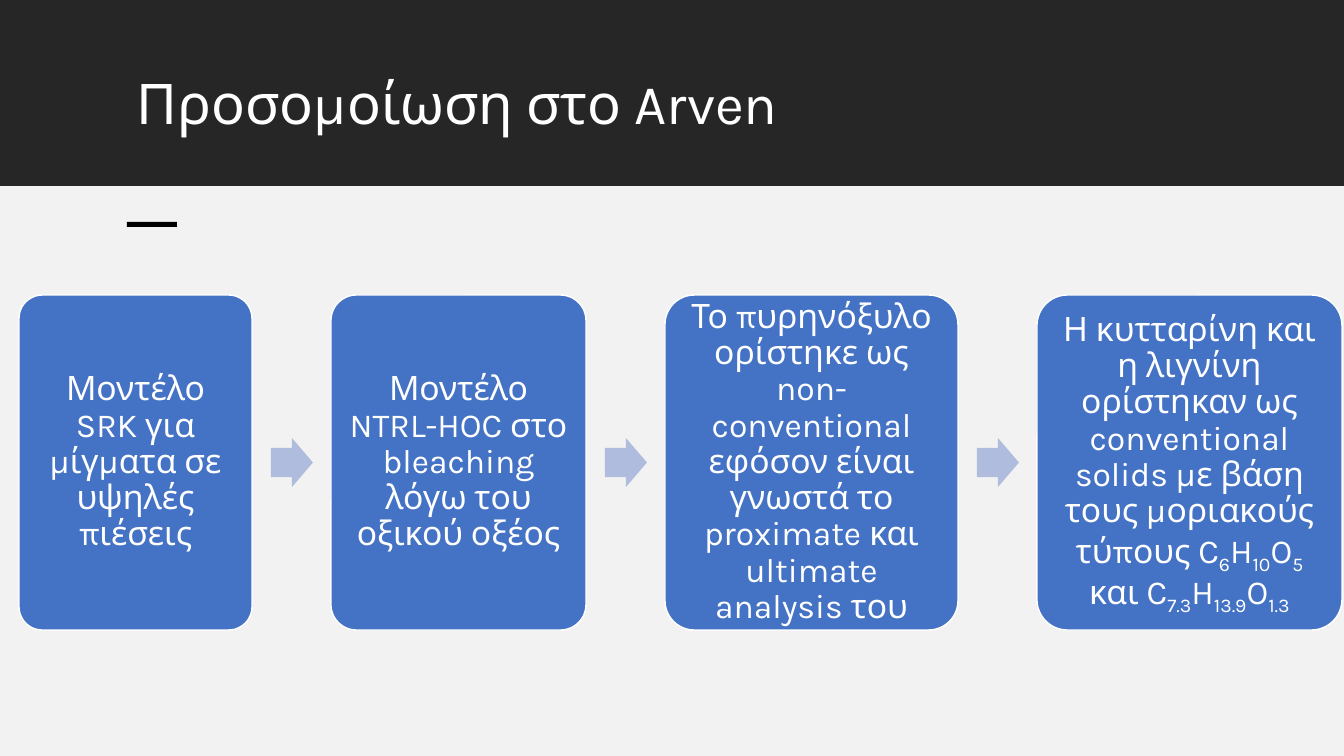
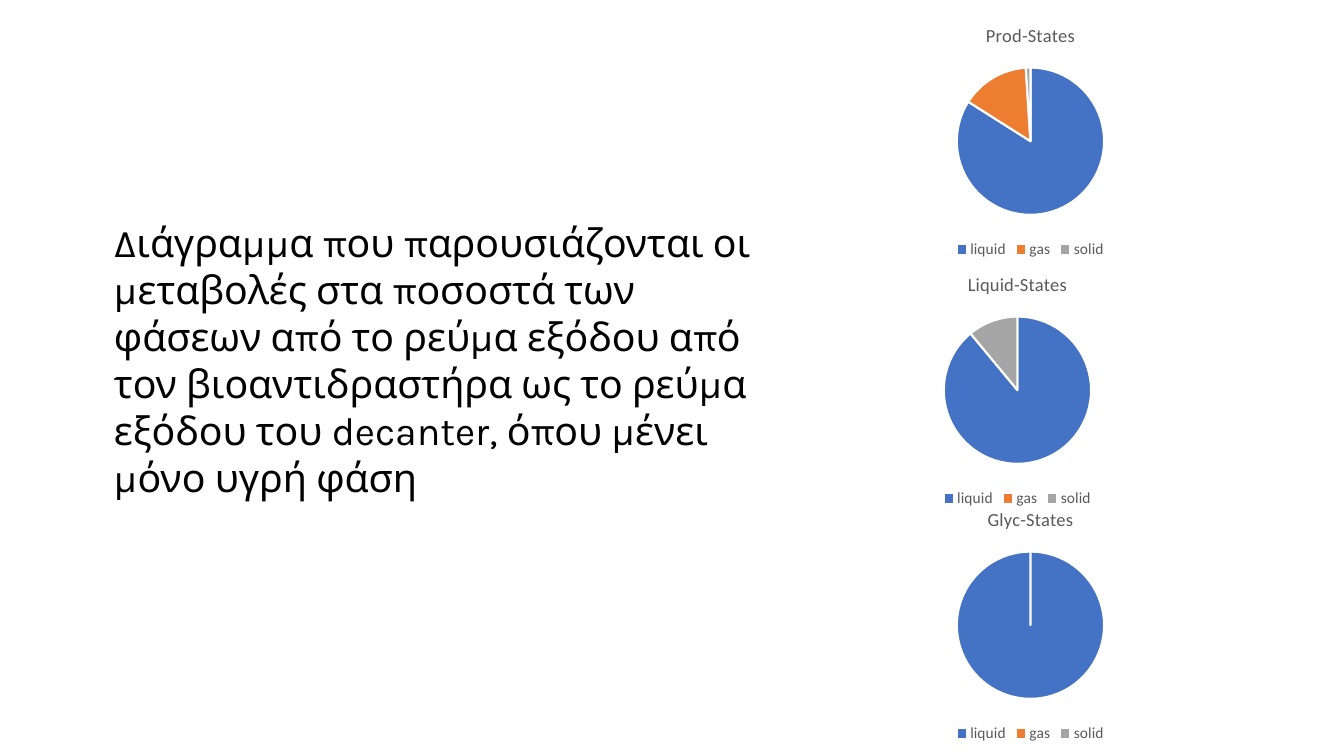
"""Build two slides on process simulation and the phase shares of its streams."""
from dataclasses import dataclass

from pptx import Presentation
from pptx.chart.data import CategoryChartData
from pptx.dml.color import RGBColor
from pptx.enum.chart import XL_CHART_TYPE as ChartType, XL_LEGEND_POSITION as LegendPos
from pptx.enum.shapes import MSO_SHAPE as Shape
from pptx.enum.text import MSO_ANCHOR as Anchor, PP_ALIGN as Align
from pptx.util import Emu, Pt

PX = 914400 / 100.8
WIDTH, HEIGHT = 1344, 756


@dataclass(frozen=True)
class Theme:
    font: str = "Karla"
    chart_font: str = "Calibri"
    white: str = "FFFFFF"
    black: str = "000000"
    band: str = "262626"
    ground: str = "F2F2F2"
    box: str = "4472C4"
    arrow: str = "B0BCDE"
    chart_text: str = "595959"
    slices: tuple[str, ...] = ("4472C4", "ED7D31", "A5A5A5")
    title_size: float = 40
    body_size: float = 28
    step_size: float = 24
    chart_title_size: float = 13.2
    legend_size: float = 11


@dataclass(frozen=True)
class Box:
    x: int
    y: int
    w: int
    h: int

    def emu(self) -> tuple[Emu, ...]:
        return tuple(Emu(round(v * PX)) for v in (self.x, self.y, self.w, self.h))


@dataclass(frozen=True)
class Step:
    width: int
    text: str


@dataclass(frozen=True)
class Pie:
    title: str
    x: int
    y: int
    values: tuple[int, ...]


THEME = Theme()
PHASES = ("liquid", "gas", "solid")
STEP_X, STEP_Y, STEP_H, STEP_GAP = 19, 295, 335, 79
ARROW_OFFSET, ARROW_W, ARROW_H = 19, 42, 49
PIE_W, PIE_H = 419, 254

STEPS = (
    Step(233, "Μοντέλο SRK για μίγματα σε υψηλές πιέσεις"),
    Step(255, "Μοντέλο NTRL-HOC στο bleaching λόγω του οξικού οξέος"),
    Step(293, "Το πυρηνόξυλο ορίστηκε ως non-conventional εφόσον είναι γνωστά "
              "το proximate και ultimate analysis του"),
    Step(305, "Η κυτταρίνη και η λιγνίνη ορίστηκαν ως conventional solids με βάση "
              "τους μοριακούς τύπους C_6_H_10_O_5 _και C_7.3_H_13.9_O_1.3_"),
)
PIES = (
    Pie("Prod-States", 821, 9, (84, 15, 1)),
    Pie("Liquid-States", 808, 258, (89, 0, 11)),
    Pie("Glyc-States", 821, 493, (100, 0, 0)),
)
CAPTION = ("Διάγραμμα που παρουσιάζονται οι μεταβολές στα ποσοστά των φάσεων από το "
           "ρεύμα εξόδου από τον βιοαντιδραστήρα ως το ρεύμα εξόδου του decanter, "
           "όπου μένει μόνο υγρή φάση")


def style_font(font, name: str, size: float, color: str) -> None:
    """Set the face, size and colour of a font."""
    font.name, font.size = name, Pt(size)
    font.color.rgb = RGBColor.from_string(color)


def write_text(s, text: str, *, size: float, color: str, align=Align.LEFT,
               anchor=Anchor.TOP, spacing: float = 1.0, pad_y: int = 5) -> None:
    """Write one paragraph in which underscores enclose subscripts."""
    tf = s.text_frame
    tf.word_wrap, tf.vertical_anchor = True, anchor
    tf.margin_left = tf.margin_right = Emu(round(10 * PX))
    tf.margin_top = tf.margin_bottom = Emu(round(pad_y * PX))
    p = tf.paragraphs[0]
    p.alignment, p.line_spacing = align, spacing
    for i, part in enumerate(text.split("_")):
        if part:
            r = p.add_run()
            r.text = part
            style_font(r.font, THEME.font, size, color)
            if i % 2:
                r._r.get_or_add_rPr().set("baseline", "-25000")


def add_block(slide, kind, box: Box, fill: str, *, line: str | None = None,
              adjustments: tuple[float, ...] = ()):
    """Add a flat filled shape and return it."""
    s = slide.shapes.add_shape(kind, *box.emu())
    s.shadow.inherit = False
    s.fill.solid()
    s.fill.fore_color.rgb = RGBColor.from_string(fill)
    if line:
        s.line.color.rgb = RGBColor.from_string(line)
        s.line.width = Pt(1)
    else:
        s.line.fill.background()
    for i, value in enumerate(adjustments):
        s.adjustments[i] = value
    return s


def add_text(slide, box: Box, text: str, **style) -> None:
    """Add a text box with the given text style."""
    write_text(slide.shapes.add_textbox(*box.emu()), text, **style)


def add_header(slide, title: str) -> None:
    """Draw the dark title band, the light ground and the accent dash."""
    add_block(slide, Shape.RECTANGLE, Box(0, 0, WIDTH, 186), THEME.band)
    add_block(slide, Shape.RECTANGLE, Box(0, 186, WIDTH, HEIGHT - 186), THEME.ground)
    add_block(slide, Shape.RECTANGLE, Box(127, 222, 50, 5), THEME.black)
    add_text(slide, Box(127, 71, 1090, 99), title, size=THEME.title_size,
             color=THEME.white, spacing=0.9)


def add_steps(slide, steps: tuple[Step, ...]) -> None:
    """Draw the steps from left to right with an arrow in each gap."""
    x = STEP_X
    for i, step in enumerate(steps):
        if i:
            arrow = Box(x - STEP_GAP + ARROW_OFFSET, STEP_Y + (STEP_H - ARROW_H) // 2,
                        ARROW_W, ARROW_H)
            add_block(slide, Shape.RIGHT_ARROW, arrow, THEME.arrow, adjustments=(0.6, 0.5))
        s = add_block(slide, Shape.ROUNDED_RECTANGLE, Box(x, STEP_Y, step.width, STEP_H),
                      THEME.box, line=THEME.white, adjustments=(0.1,))
        write_text(s, step.text, size=THEME.step_size, color=THEME.white,
                   align=Align.CENTER, anchor=Anchor.MIDDLE, spacing=0.9, pad_y=10)
        x += step.width + STEP_GAP


def add_pie(slide, pie: Pie) -> None:
    """Draw a pie chart of the phase shares."""
    data = CategoryChartData()
    data.categories = PHASES
    data.add_series("Series 1", pie.values)
    box = Box(pie.x, pie.y, PIE_W, PIE_H)
    chart = slide.shapes.add_chart(ChartType.PIE, *box.emu(), data).chart
    style_font(chart.font, THEME.chart_font, THEME.legend_size, THEME.chart_text)
    chart.has_title = True
    chart.chart_title.include_in_layout = False
    p = chart.chart_title.text_frame.paragraphs[0]
    r = p.add_run()
    r.text = pie.title
    style_font(r.font, THEME.chart_font, THEME.chart_title_size, THEME.chart_text)
    r.font.bold = False
    chart.has_legend = True
    chart.legend.position = LegendPos.BOTTOM
    chart.legend.include_in_layout = False
    style_font(chart.legend.font, THEME.chart_font, THEME.legend_size, THEME.chart_text)
    plot = chart.plots[0]
    plot.vary_by_categories = True
    for i, color in enumerate(THEME.slices):
        fmt = plot.series[0].points[i].format
        fmt.fill.solid()
        fmt.fill.fore_color.rgb = RGBColor.from_string(color)
        fmt.line.color.rgb = RGBColor.from_string(THEME.white)
        fmt.line.width = Pt(1.5)


def main() -> None:
    """Build and save the presentation."""
    prs = Presentation()
    prs.slide_width, prs.slide_height = Emu(round(WIDTH * PX)), Emu(round(HEIGHT * PX))
    blank = prs.slide_layouts[6]

    simulation = prs.slides.add_slide(blank)
    add_header(simulation, "Προσομοίωση στο Arven")
    add_steps(simulation, STEPS)

    phases = prs.slides.add_slide(blank)
    for pie in PIES:
        add_pie(phases, pie)
    add_text(phases, Box(104, 213, 679, 292), CAPTION, size=THEME.body_size,
             color=THEME.black)

    prs.save("out.pptx")


if __name__ == "__main__":
    main()
